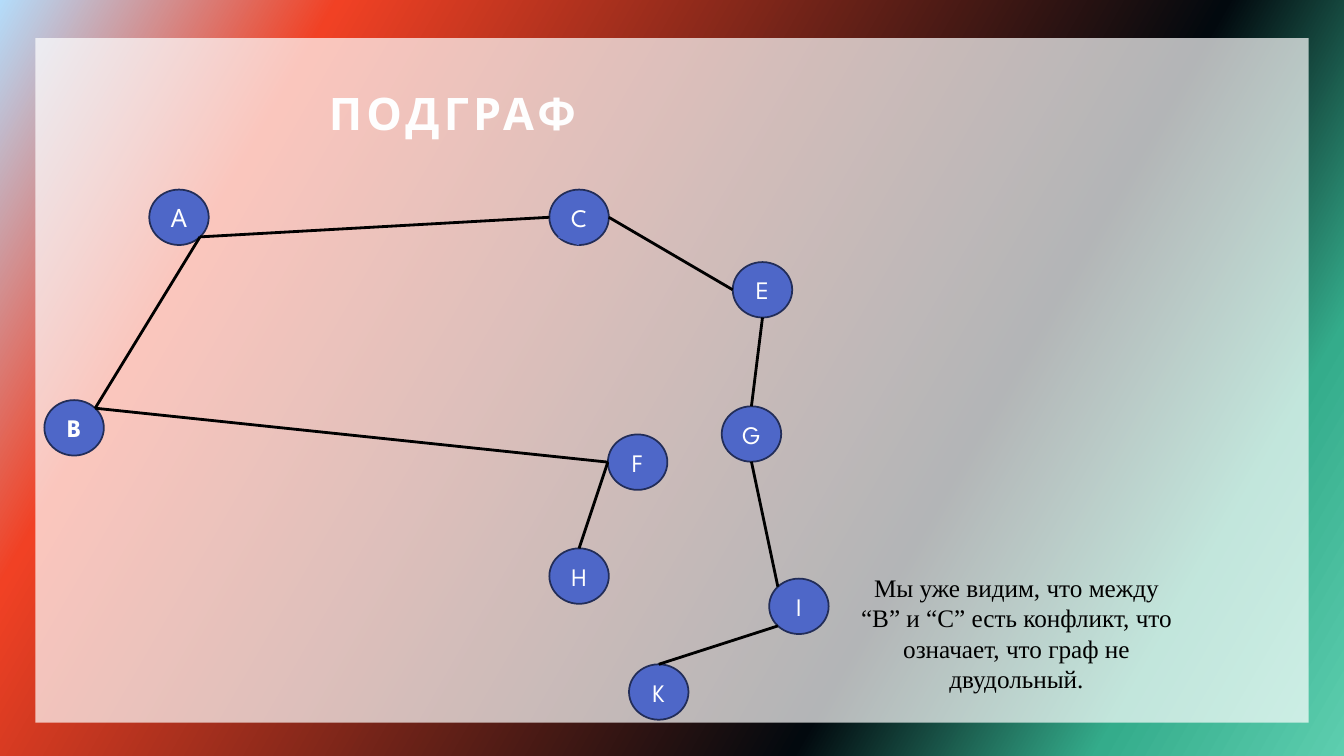
from math import sqrt
from lxml.etree import SubElement
from pptx import Presentation
from pptx.dml.color import RGBColor
from pptx.enum.shapes import MSO_CONNECTOR, MSO_SHAPE
from pptx.enum.text import MSO_ANCHOR, MSO_AUTO_SIZE, PP_ALIGN
from pptx.oxml.ns import qn
from pptx.util import Pt

TITLE = "ПОДГРАФ"
NOTE = "Мы уже видим, что между “B” и “C” есть конфликт, что означает, что граф не двудольный."

# vertex: left, top
VERTICES = {
    "А": (106.6, 135.4), "G": (515.5, 290.2), "K": (449.3, 474.5),
    "B": (31.7, 285.8), "C": (392.4, 135.4), "H": (392.4, 391.7),
    "I": (549.4, 413.3), "E": (523.4, 187.2), "F": (434.2, 310.3),
}
# vertex and compass side at each end, line style
EDGES = [
    ("А", "se", "B", "ne", "edge"),
    ("А", "se", "C", "w", "edge"),
    ("C", "sw", "C", "s", "chord"),
    ("C", "e", "E", "w", "edge"),
    ("G", "s", "I", "nw", "edge"),
    ("G", "n", "E", "s", "edge"),
    ("H", "n", "F", "w", "edge"),
    ("I", "sw", "K", "n", "edge"),
    ("B", "ne", "F", "w", "edge"),
]

THEME = {
    "background": [(0, "5DCEAF"), (14, "34AC8B"), (31, "02090E"), (81, "F14124"), (100, "B4DCFA")],
    "panel": "FFFFFF",
    "vertex": "4E67C8",
    "outline": ("222D58", 1.25),
    "edge": ("000000", 2),
    "chord": ("4E67C8", 0.75),
    "title": {"name": "League Spartan", "size": Pt(32), "bold": True, "color": "FEFEFE"},
    "label": {"name": "League Spartan", "size": Pt(18), "bold": False, "color": "FFFFFF"},
    "note": {"name": "Times New Roman", "size": Pt(18), "bold": False, "color": "000000"},
}
VERTEX_W, VERTEX_H = 42.5, 39.6
DIRECTIONS = {"n": (0, -1), "s": (0, 1), "w": (-1, 0), "e": (1, 0)}


def box(*lengths):
    return [Pt(v) for v in lengths]


def set_line(line, style):
    color, width = THEME[style]
    line.color.rgb = RGBColor.from_string(color)
    line.width = Pt(width)


def write(tf, text, style, anchor):
    tf.word_wrap = True
    tf.vertical_anchor = anchor
    p = tf.paragraphs[0]
    p.alignment = PP_ALIGN.CENTER
    r = p.add_run()
    r.text = text
    for key, value in THEME[style].items():
        if key == "color":
            r.font.color.rgb = RGBColor.from_string(value)
        else:
            setattr(r.font, key, value)
    return r


def add_color(parent, color, alpha=None):
    clr = SubElement(parent, qn("a:srgbClr"), val=color)
    if alpha is not None:
        SubElement(clr, qn("a:alpha"), val=str(alpha * 1000))


def paint_background(s):
    fill = s.background.fill
    fill.gradient()
    fill.gradient_angle = 150
    stops = s.background._cSld.find(".//" + qn("a:gsLst"))
    for stop in list(stops):
        stops.remove(stop)
    for position, color in THEME["background"]:
        add_color(SubElement(stops, qn("a:gs"), pos=str(position * 1000)), color)


def add_panel(s):
    sp = s.shapes.add_shape(MSO_SHAPE.RECTANGLE, *box(25.2, 27.2, 909.5, 489))
    sp.shadow.inherit = False
    sp.line.fill.background()
    sp.fill.solid()
    sp.fill.fore_color.rgb = RGBColor.from_string(THEME["panel"])
    clr = sp.fill._xPr.find(".//" + qn("a:srgbClr"))
    SubElement(clr, qn("a:alpha"), val="70000")


def add_title(s):
    sp = s.shapes.add_textbox(*box(212.4, 26.6, 221.8, 76.3))
    rPr = write(sp.text_frame, TITLE, "title", MSO_ANCHOR.BOTTOM).font._element
    rPr.set("spc", "300")
    effects = rPr.makeelement(qn("a:effectLst"))
    rPr.find(qn("a:solidFill")).addnext(effects)
    shadow = SubElement(effects, qn("a:outerShdw"), blurRad=str(Pt(4)),
                        dist=str(Pt(3)), dir="2700000", algn="tl")
    add_color(shadow, "000000", 43)


def add_vertex(s, name, left, top):
    sp = s.shapes.add_shape(MSO_SHAPE.OVAL, *box(left, top, VERTEX_W, VERTEX_H))
    sp.shadow.inherit = False
    sp.fill.solid()
    sp.fill.fore_color.rgb = RGBColor.from_string(THEME["vertex"])
    set_line(sp.line, "outline")
    r = write(sp.text_frame, name, "label", MSO_ANCHOR.MIDDLE)
    r.font.bold = name == "B"


def rim_point(name, side):
    """Point on the vertex's ellipse in a compass direction."""
    left, top = VERTICES[name]
    dx, dy = (sum(axis) / sqrt(len(side)) for axis in zip(*(DIRECTIONS[c] for c in side)))
    return left + VERTEX_W / 2 * (1 + dx), top + VERTEX_H / 2 * (1 + dy)


def add_edge(s, start, start_side, end, end_side, style):
    ends = rim_point(start, start_side) + rim_point(end, end_side)
    line = s.shapes.add_connector(MSO_CONNECTOR.STRAIGHT, *box(*ends))
    set_line(line.line, style)
    SubElement(line._element.spPr, qn("a:effectLst"))


def add_note(s):
    sp = s.shapes.add_textbox(*box(606.2, 405.4, 239.8, 94.3))
    write(sp.text_frame, NOTE, "note", MSO_ANCHOR.TOP)
    sp.text_frame.auto_size = MSO_AUTO_SIZE.SHAPE_TO_FIT_TEXT


def main():
    prs = Presentation()
    prs.slide_width, prs.slide_height = box(960, 540)
    s = prs.slides.add_slide(prs.slide_layouts[6])
    paint_background(s)
    add_panel(s)
    add_title(s)
    for name, corner in VERTICES.items():
        add_vertex(s, name, *corner)
    for edge in EDGES:
        add_edge(s, *edge)
    add_note(s)
    prs.save("out.pptx")


if __name__ == "__main__":
    main()
